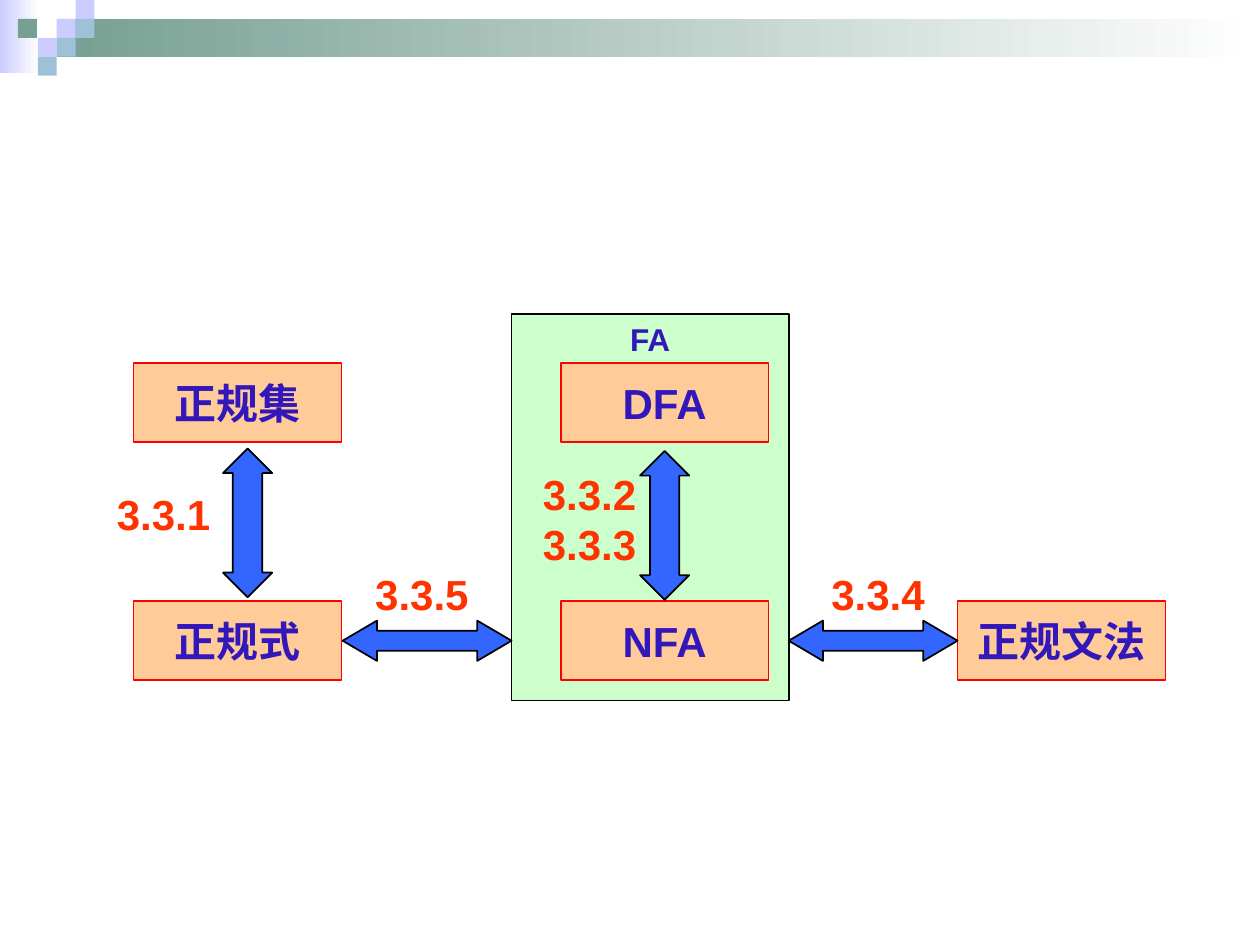
"""Build a slide relating regular sets, expressions, grammars and finite automata."""
import pptx
import pptx.dml.color
import pptx.enum.shapes
import pptx.enum.text
import pptx.util

RGBColor = pptx.dml.color.RGBColor
Shape = pptx.enum.shapes.MSO_SHAPE
Anchor = pptx.enum.text.MSO_ANCHOR
Align = pptx.enum.text.PP_ALIGN
Inches = pptx.util.Inches

WHITE = RGBColor(0xFF, 0xFF, 0xFF)
BLACK = RGBColor(0x00, 0x00, 0x00)
LAVENDER = RGBColor(0xCC, 0xCC, 0xFF)
SAGE = RGBColor(0x77, 0x9F, 0x92)
SKY = RGBColor(0x9D, 0xC2, 0xD7)
MINT = RGBColor(0xCC, 0xFF, 0xCC)
PEACH = RGBColor(0xFF, 0xCC, 0x99)
RED = RGBColor(0xFF, 0x00, 0x00)
INDIGO = RGBColor(0x32, 0x17, 0xBB)
BLUE = RGBColor(0x33, 0x66, 0xFF)
ORANGE = RGBColor(0xFF, 0x33, 0x00)

TILE = 0.15
COLUMNS = (1.06, 4.45, 7.6)
ROWS = (2.88, 4.77)
BOX_WIDTH, BOX_HEIGHT = 1.65, 0.63
FA_LEFT, FA_WIDTH = 4.06, 2.2
ARROW_LENGTH, ARROW_HEIGHT = 1.34, 0.32

presentation = pptx.Presentation()
presentation.slide_width = Inches(10)
presentation.slide_height = Inches(7.5)
slide = presentation.slides.add_slide(presentation.slide_layouts[6])


def add_block(kind, left, top, width, height, fill, line=None):
    shape = slide.shapes.add_shape(
        kind, Inches(left), Inches(top), Inches(width), Inches(height))
    shape.shadow.inherit = False
    shape.fill.solid()
    shape.fill.fore_color.rgb = fill
    if line is None:
        shape.line.fill.background()
    else:
        shape.line.color.rgb = line
        shape.line.width = pptx.util.Pt(1)
    return shape


def write(shape, lines, size, color, alignment, anchor):
    frame = shape.text_frame
    frame.word_wrap = False
    frame.vertical_anchor = anchor
    frame.text = "\n".join(lines)
    for paragraph in frame.paragraphs:
        paragraph.alignment = alignment
        paragraph.font.name = "Arial"
        paragraph.font.size = pptx.util.Pt(size)
        paragraph.font.bold = True
        paragraph.font.color.rgb = color


for left, top, width, height, color in (
        (0, 0, 0.31, 0.58, LAVENDER),
        (3 * TILE, TILE, 10 - 3 * TILE, 2 * TILE, SAGE)):
    band = add_block(Shape.RECTANGLE, left, top, width, height, color)
    band.fill.gradient()
    band.fill.gradient_angle = 0
    for stop, stop_color in zip(band.fill.gradient_stops, (color, WHITE)):
        stop.color.rgb = stop_color

for column, row, color in (
        (3, 1, LAVENDER), (4, 0, LAVENDER), (4, 1, SKY), (2, 2, LAVENDER),
        (0.95, 1, SAGE), (3, 2, SKY), (2, 3, SKY)):
    add_block(Shape.RECTANGLE, column * TILE, row * TILE, TILE, TILE, color)

automata = add_block(Shape.RECTANGLE, FA_LEFT, 2.49, FA_WIDTH, 3.07, MINT, BLACK)
write(automata, ["FA"], 18, INDIGO, Align.CENTER, Anchor.TOP)

for column, row, name in (
        (0, 0, "正规集"), (0, 1, "正规式"), (1, 0, "DFA"),
        (1, 1, "NFA"), (2, 1, "正规文法")):
    box = add_block(Shape.RECTANGLE, COLUMNS[column], ROWS[row],
                    BOX_WIDTH, BOX_HEIGHT, PEACH, RED)
    write(box, [name], 24, INDIGO, Align.CENTER, Anchor.MIDDLE)

arrow_top = ROWS[1] + (BOX_HEIGHT - ARROW_HEIGHT) / 2
for kind, left, top, width, height, head in (
        (Shape.LEFT_RIGHT_ARROW, FA_LEFT - ARROW_LENGTH, arrow_top,
         ARROW_LENGTH, ARROW_HEIGHT, 0.85),
        (Shape.LEFT_RIGHT_ARROW, FA_LEFT + FA_WIDTH, arrow_top,
         ARROW_LENGTH, ARROW_HEIGHT, 0.85),
        (Shape.UP_DOWN_ARROW, 1.77, 3.56, 0.39, 1.18, 0.6),
        (Shape.UP_DOWN_ARROW, 5.08, 3.58, 0.39, 1.18, 0.6)):
    arrow = add_block(kind, left, top, width, height, BLUE, BLACK)
    arrow.adjustments[0] = 0.5
    arrow.adjustments[1] = head

for left, top, sections in (
        (0.83, 3.83, ["3.3.1"]), (4.21, 3.67, ["3.3.2", "3.3.3"]),
        (6.5, 4.46, ["3.3.4"]), (2.88, 4.46, ["3.3.5"])):
    label = slide.shapes.add_textbox(
        Inches(left), Inches(top), Inches(0.94), Inches(0.1 + 0.4 * len(sections)))
    write(label, sections, 24, ORANGE, Align.LEFT, Anchor.TOP)

presentation.save("out.pptx")
